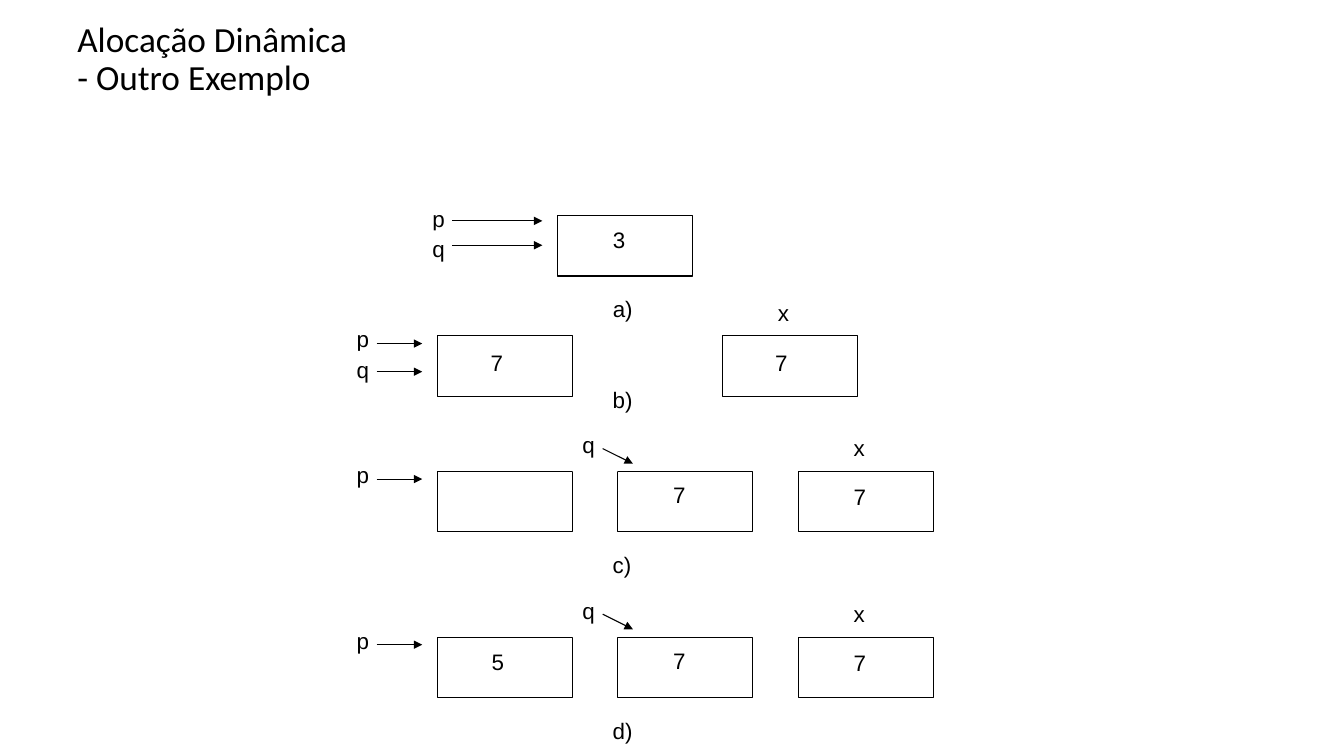
from lxml import etree
from pptx import Presentation
from pptx.dml.color import RGBColor
from pptx.enum.shapes import MSO_CONNECTOR, MSO_SHAPE
from pptx.enum.text import MSO_ANCHOR, PP_ALIGN
from pptx.oxml.ns import qn
from pptx.util import Pt

RECTANGLE = MSO_SHAPE.RECTANGLE
STRAIGHT = MSO_CONNECTOR.STRAIGHT
TOP = MSO_ANCHOR.TOP
LEFT = PP_ALIGN.LEFT

BLACK = RGBColor(0, 0, 0)
WHITE = RGBColor(255, 255, 255)

CELL_WIDTH, CELL_HEIGHT = 96.6, 43.2
CELL_STEP = 128.9
LABEL_SIZE = 32.4
ARROW_GAP = 10.8
ARROW_OFFSET = 21.4
LINE_WIDTH = 0.75


def add_box(slide, left, top, width, height):
    shape = slide.shapes.add_shape(RECTANGLE, Pt(left), Pt(top), Pt(width), Pt(height))
    shape.shadow.inherit = False
    shape.fill.solid()
    shape.fill.fore_color.rgb = WHITE
    return shape


def add_label(slide, text, left, top, height=LABEL_SIZE):
    shape = add_box(slide, left, top, LABEL_SIZE, height)
    shape.line.fill.background()
    frame = shape.text_frame
    frame.word_wrap = True
    frame.vertical_anchor = TOP
    paragraph = frame.paragraphs[0]
    paragraph.text = text
    paragraph.alignment = LEFT
    paragraph.font.name = "Arial"
    paragraph.font.size = Pt(16)
    paragraph.font.color.rgb = BLACK


def add_cell(slide, left, top, value="", value_left=32.4, value_top=4):
    shape = add_box(slide, left, top, CELL_WIDTH, CELL_HEIGHT)
    shape.line.color.rgb = BLACK
    shape.line.width = Pt(LINE_WIDTH)
    if value:
        add_label(slide, value, left + value_left, top + value_top)


def add_arrow(slide, start_left, start_top, end_left, end_top):
    arrow = slide.shapes.add_connector(
        STRAIGHT, Pt(start_left), Pt(start_top), Pt(end_left), Pt(end_top))
    arrow.line.color.rgb = BLACK
    arrow.line.width = Pt(LINE_WIDTH)
    line = arrow.line._get_or_add_ln()
    etree.SubElement(line, qn("a:tailEnd"), type="triangle")
    etree.SubElement(arrow._element.spPr, qn("a:effectLst"))


def add_pointer(slide, name, cell_left, label_top, arrow_top, distance):
    label_left = cell_left - distance
    add_label(slide, name, label_left, label_top)
    add_arrow(slide, label_left + ARROW_OFFSET, arrow_top,
              cell_left - ARROW_GAP, arrow_top)


def add_variable(slide, left, top, value_left, value_top, name_left, name_top):
    add_cell(slide, left, top, "7", value_left, value_top)
    add_label(slide, "x", left + name_left, top + name_top, 21.6)


def add_shared_cell(slide, left, top):
    add_cell(slide, left, top, "3")
    add_pointer(slide, "p", left, top - 10.8, top + 3.8, 96.4)
    add_pointer(slide, "q", left, top + 10.5, top + 21.2, 96.4)
    add_label(slide, "a)", left + 32.4, top + 53.4)


def add_shared_cell_with_variable(slide, left, top):
    add_cell(slide, left, top, "7", 31, 6.3)
    add_pointer(slide, "p", left, top - 10.8, top + 5.6, 64.8)
    add_pointer(slide, "q", left, top + 10.8, top + 25.7, 64.8)
    add_variable(slide, left + 203.8, top, 30.3, 6.3, 32.4, -29.5)
    add_label(slide, "b)", left + 118.1, top + 32.4)


def add_separate_cells(slide, left, top, value, caption):
    add_cell(slide, left, top, value, 31.7)
    add_pointer(slide, "p", left, top - 10.8, top + 5.4, 64.8)
    middle_left = left + CELL_STEP
    add_cell(slide, middle_left, top, "7", value_top=3.6)
    add_label(slide, "q", middle_left - LABEL_SIZE, top - LABEL_SIZE)
    add_arrow(slide, middle_left - ARROW_GAP, top - 16.4,
              middle_left + ARROW_GAP, top - 5.6)
    add_variable(slide, left + 2 * CELL_STEP, top, 32.4, 5, 32.4, -30.2)
    add_label(slide, caption, left + 118.1, top + 53.6)


def add_title(slide, left, top, width, height):
    box = slide.shapes.add_textbox(Pt(left), Pt(top), Pt(width), Pt(height))
    frame = box.text_frame
    frame.word_wrap = True
    frame.vertical_anchor = TOP
    paragraph = frame.paragraphs[0]
    paragraph.text = "Alocação Dinâmica \v- Outro Exemplo"
    paragraph.line_spacing = 0.9
    paragraph.font.name = "Calibri"
    paragraph.font.size = Pt(25.2)
    paragraph.font.color.rgb = BLACK


def main():
    presentation = Presentation()
    presentation.slide_width = Pt(960)
    presentation.slide_height = Pt(540)
    slide = presentation.slides.add_slide(presentation.slide_layouts[6])
    add_title(slide, 48.2, 12.2, 760.3, 32.4)
    add_shared_cell(slide, 398.2, 154)
    add_shared_cell_with_variable(slide, 312.4, 239.8)
    add_separate_cells(slide, 312.4, 336.8, "", "c)")
    add_separate_cells(slide, 312.4, 455.1, "5", "d)")
    presentation.save("out.pptx")


if __name__ == "__main__":
    main()
